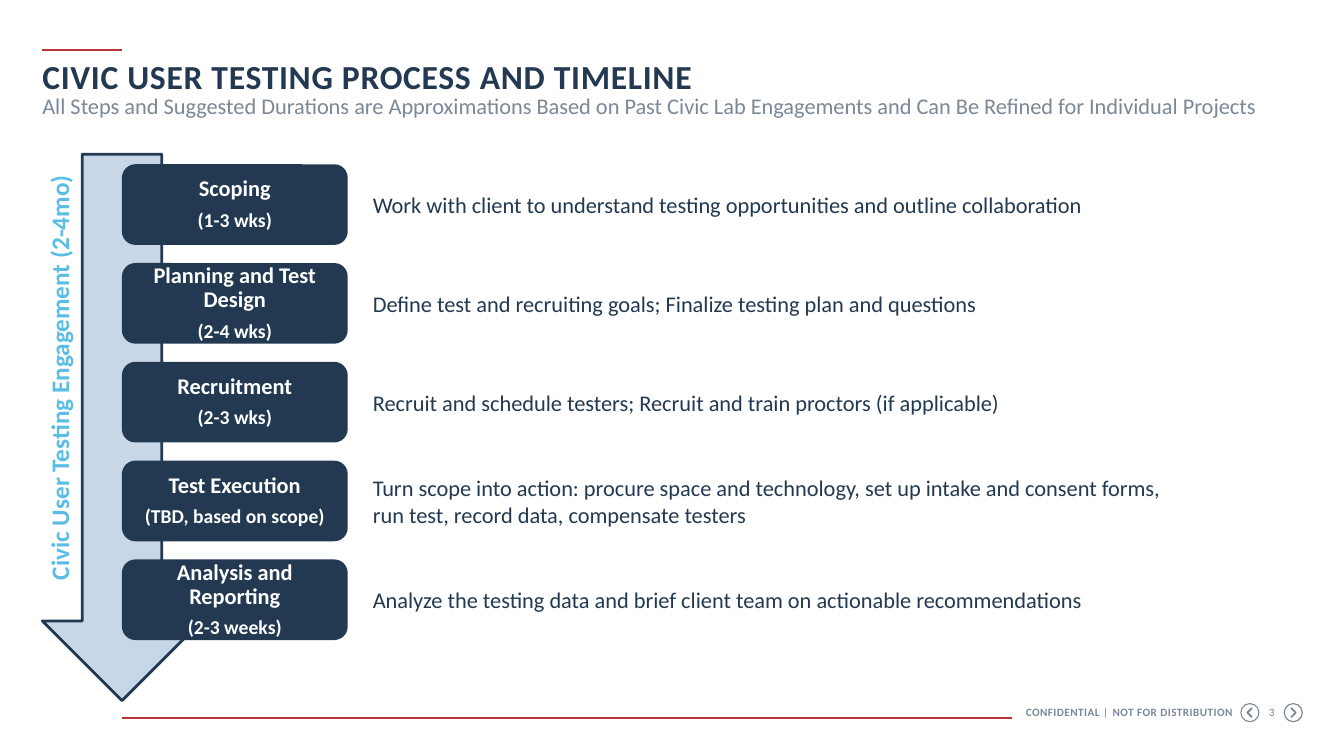
from lxml.etree import SubElement
from pptx import Presentation
from pptx.dml.color import RGBColor
from pptx.enum.shapes import MSO_CONNECTOR as CONNECTOR, MSO_SHAPE as SHAPE
from pptx.enum.text import MSO_ANCHOR as ANCHOR, PP_ALIGN as ALIGN
from pptx.oxml.ns import qn
from pptx.util import Pt

NAVY = RGBColor(0x23, 0x39, 0x51)
PALE_BLUE = RGBColor(0xC8, 0xD7, 0xE7)
SKY = RGBColor(0x5A, 0xBD, 0xE5)
GREY = RGBColor(0x7B, 0x88, 0x97)
RED = RGBColor(0xBA, 0x35, 0x35)
WHITE = RGBColor(0xFF, 0xFF, 0xFF)

FONT = "Calibri"
MARGIN = 30.24
STEP_LEFT, STEP_TOP = 87.12, 117.36
STEP_WIDTH, STEP_HEIGHT, STEP_PITCH = 161.28, 57.6, 70.56
DETAIL_LEFT, DETAIL_WIDTH = 259.2, 584.64
FOOTER_Y = 509.04
NAV_SIZE = 12.96

STEPS = [
    ("Scoping", "(1-3 wks)",
     "Work with client to understand testing opportunities and outline collaboration"),
    ("Planning and Test Design", "(2-4 wks)",
     "Define test and recruiting goals; Finalize testing plan and questions"),
    ("Recruitment", "(2-3 wks)",
     "Recruit and schedule testers; Recruit and train proctors (if applicable)"),
    ("Test Execution", "(TBD, based on scope)",
     "Turn scope into action: procure space and technology, set up intake and "
     "consent forms, run test, record data, compensate testers"),
    ("Analysis and Reporting", "(2-3 weeks)",
     "Analyze the testing data and brief client team on actionable recommendations"),
]


def add_run(paragraph, text, size, color, bold=False, spacing=0):
    """Append a styled run, with letter spacing in points."""
    run = paragraph.add_run()
    run.text = text
    run.font.name = FONT
    run.font.size = Pt(size)
    run.font.bold = bold
    run.font.color.rgb = color
    if spacing:
        run._r.get_or_add_rPr().set("spc", str(round(spacing * 100)))


def set_insets(frame, horizontal, vertical):
    """Set the side and the top and bottom insets of a text frame."""
    frame.margin_left = frame.margin_right = Pt(horizontal)
    frame.margin_top = frame.margin_bottom = Pt(vertical)


def add_label(slide, box, runs, align=ALIGN.LEFT, anchor=ANCHOR.TOP,
              insets=(0, 0), line_spacing=None, rotation=0):
    """Add a one-paragraph text box made of the given runs."""
    label = slide.shapes.add_textbox(*map(Pt, box))
    label.rotation = rotation
    frame = label.text_frame
    frame.word_wrap = True
    frame.vertical_anchor = anchor
    set_insets(frame, *insets)
    paragraph = frame.paragraphs[0]
    paragraph.alignment = align
    if line_spacing:
        paragraph.line_spacing = Pt(line_spacing)
    for run in runs:
        add_run(paragraph, *run)


def add_rule(slide, left, right, y):
    """Add a horizontal red rule."""
    rule = slide.shapes.add_connector(
        CONNECTOR.STRAIGHT, Pt(left), Pt(y), Pt(right), Pt(y))
    rule.line.color.rgb = RED
    rule.line.width = Pt(1.5)
    SubElement(rule._element.spPr, qn("a:effectLst"))


def add_engagement_arrow(slide):
    """Add the large arrow pointing down behind the steps."""
    arrow = slide.shapes.add_shape(
        SHAPE.RIGHT_ARROW, Pt(-108), Pt(248.4), Pt(390.24), Pt(113.76))
    arrow.rotation = 90
    arrow.shadow.inherit = False
    arrow.fill.solid()
    arrow.fill.fore_color.rgb = PALE_BLUE
    arrow.line.color.rgb = NAVY
    arrow.line.width = Pt(2)


def add_step(slide, top, name, duration, detail):
    """Add a step card with its description to the right."""
    card = slide.shapes.add_shape(
        SHAPE.ROUNDED_RECTANGLE, Pt(STEP_LEFT), Pt(top), Pt(STEP_WIDTH), Pt(STEP_HEIGHT))
    card.shadow.inherit = False
    card.fill.solid()
    card.fill.fore_color.rgb = NAVY
    card.line.fill.background()
    frame = card.text_frame
    frame.word_wrap = True
    frame.vertical_anchor = ANCHOR.MIDDLE
    set_insets(frame, 7.2, 7.2)
    for paragraph, text, size in ((frame.paragraphs[0], name, 16),
                                  (frame.add_paragraph(), duration, 14)):
        paragraph.alignment = ALIGN.CENTER
        paragraph.line_spacing = 0.9
        paragraph.space_after = Pt(6)
        add_run(paragraph, text, size, WHITE, True)
    add_label(slide, (DETAIL_LEFT, top, DETAIL_WIDTH, STEP_HEIGHT),
              [(detail, 16, NAVY)], anchor=ANCHOR.MIDDLE, insets=(7.2, 3.6))


def add_nav_button(slide, center, direction):
    """Add a ringed chevron; direction is -1 for back and 1 for forward."""
    ring = slide.shapes.add_shape(
        SHAPE.OVAL, Pt(center - NAV_SIZE / 2), Pt(FOOTER_Y - NAV_SIZE / 2),
        Pt(NAV_SIZE), Pt(NAV_SIZE))
    back, tip = center - 1.5 * direction, center + 1.8 * direction
    builder = slide.shapes.build_freeform(Pt(back), Pt(FOOTER_Y - 3.3))
    builder.add_line_segments(
        [(Pt(tip), Pt(FOOTER_Y)), (Pt(back), Pt(FOOTER_Y + 3.3))], close=False)
    chevron = builder.convert_to_shape()
    for part, width in ((ring, 0.8), (chevron, 1.3)):
        part.shadow.inherit = False
        part.fill.background()
        part.line.color.rgb = GREY
        part.line.width = Pt(width)


def add_footer(slide):
    """Add the confidentiality notice, page number, buttons and rule."""
    add_label(slide, (679.68, 504, 200.88, 9.36),
              [("CONFIDENTIAL ", 8, GREY, True, 0.3),
               ("|", 8, GREY, False, 3),
               ("NOT FOR DISTRIBUTION", 8, GREY, True, 0.3)], ALIGN.RIGHT)
    add_label(slide, (899.28, 504, 18, 9.36), [("3", 8, GREY, False, 0.3)], ALIGN.CENTER)
    add_nav_button(slide, 892.8, -1)
    add_nav_button(slide, 923.76, 1)
    add_rule(slide, STEP_LEFT, 722.88, FOOTER_Y + 3.6)


def add_heading(slide):
    """Add the accent rule, title and subtitle."""
    add_rule(slide, MARGIN, STEP_LEFT, 36)
    add_label(slide, (MARGIN, 39.6, 900, 28.8),
              [("CIVIC USER TESTING PROCESS AND TIMELINE", 24, NAVY, True, 0.5)])
    add_label(slide, (MARGIN, 72, 900, 14.4),
              [("All Steps and Suggested Durations are Approximations Based on Past "
                "Civic Lab Engagements and Can Be Refined for Individual Projects",
                16, GREY)], line_spacing=13)


def main():
    """Build and save the slide."""
    deck = Presentation()
    deck.slide_width, deck.slide_height = Pt(960), Pt(540)
    slide = deck.slides.add_slide(deck.slide_layouts[6])
    add_footer(slide)
    add_engagement_arrow(slide)
    add_heading(slide)
    add_label(slide, (-118.08, 259.2, 320.4, 21.6),
              [("Civic User Testing Engagement (2-4mo)", 18, SKY, True)],
              ALIGN.CENTER, ANCHOR.BOTTOM, rotation=270)
    for index, step in enumerate(STEPS):
        add_step(slide, STEP_TOP + index * STEP_PITCH, *step)
    deck.save("out.pptx")


if __name__ == "__main__":
    main()
